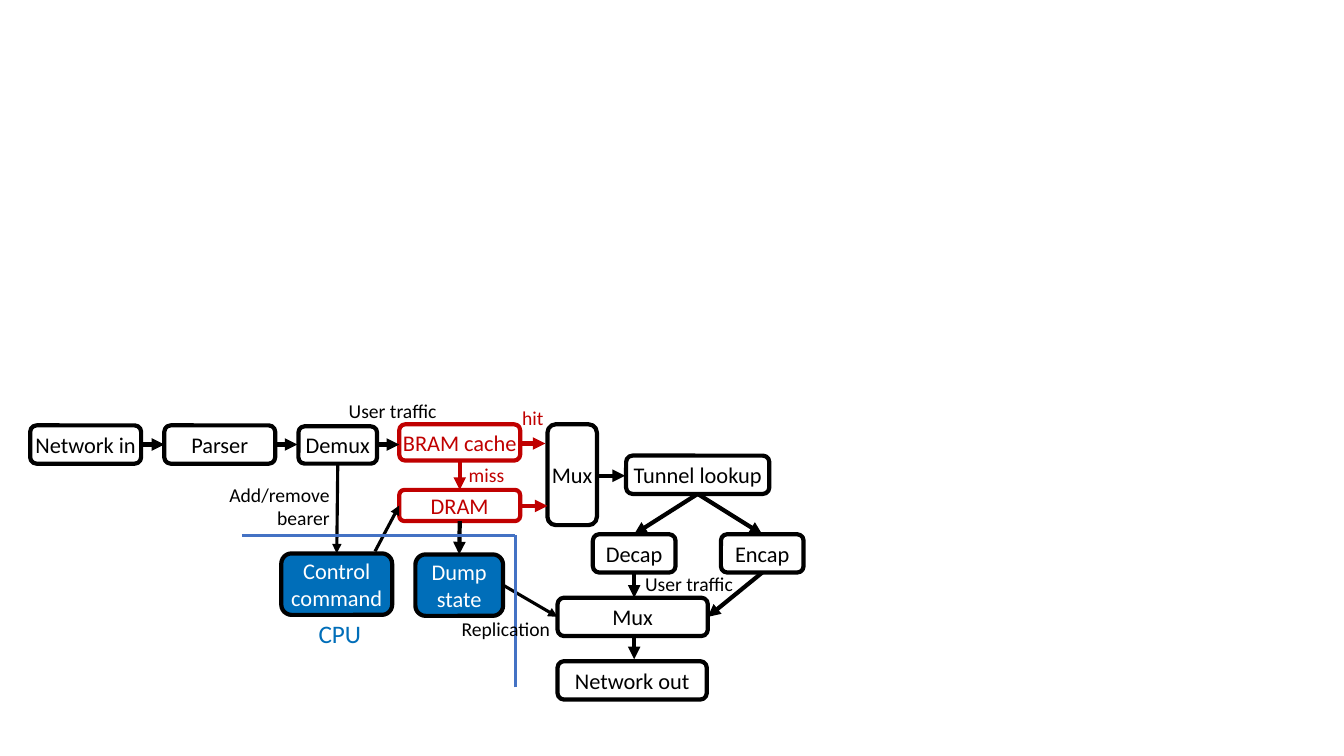
from dataclasses import dataclass
from typing import NamedTuple

from lxml import etree
from pptx import Presentation
from pptx.dml.color import RGBColor
from pptx.enum.shapes import MSO_CONNECTOR, MSO_SHAPE
from pptx.enum.text import MSO_ANCHOR, MSO_AUTO_SIZE, PP_ALIGN
from pptx.oxml.ns import qn
from pptx.util import Emu, Pt

PX = 9144
FONT = "Calibri"
BLACK, WHITE, RED = "000000", "FFFFFF", "C00000"
CPU_BLUE, BORDER_BLUE = "006EB9", "4472C4"
ROUND = MSO_SHAPE.ROUNDED_RECTANGLE
PROCESS = MSO_SHAPE.FLOWCHART_ALTERNATE_PROCESS
STRAIGHT = MSO_CONNECTOR.STRAIGHT
LEFT, CENTER, RIGHT = PP_ALIGN.LEFT, PP_ALIGN.CENTER, PP_ALIGN.RIGHT
MIDDLE, TOP_ANCHOR = MSO_ANCHOR.MIDDLE, MSO_ANCHOR.TOP
GROW = MSO_AUTO_SIZE.SHAPE_TO_FIT_TEXT
TOP, WEST, BOTTOM, EAST = range(4)


class Point(NamedTuple):
    x: int
    y: int


class Port(NamedTuple):
    box: str
    side: int


@dataclass
class Box:
    key: str
    text: str
    x: int
    y: int
    w: int
    h: int
    fill: str = WHITE
    line: str = BLACK
    color: str = BLACK
    kind: int = ROUND


@dataclass
class Link:
    start: Point | Port
    end: Point | Port
    color: str = BLACK
    width: float = 3
    arrow: bool = True


@dataclass
class Label:
    text: str
    x: int
    y: int
    w: int
    h: int = 34
    color: str = BLACK
    size: int = 14
    align: int = LEFT
    inset: tuple[int, int] = (10, 5)
    spacing: float | None = None
    after: int | None = None


BOXES = [
    Box("in", "Network in", 30, 422, 110, 38, kind=PROCESS),
    Box("parser", "Parser", 163, 422, 110, 38),
    Box("demux", "Demux", 296, 423, 78, 37),
    Box("bram", "BRAM cache", 396, 421, 120, 36, line=RED, color=RED),
    Box("dram", "DRAM", 396, 486, 120, 31, line=RED, color=RED),
    Box("control", "Control command", 279, 549, 110, 61, fill=CPU_BLUE, color=WHITE),
    Box("dump", "Dump state", 412, 550, 87, 61, fill=CPU_BLUE, color=WHITE),
    Box("cache mux", "Mux", 543, 421, 49, 100),
    Box("tunnel", "Tunnel lookup", 621, 452, 142, 38),
    Box("decap", "Decap", 588, 530, 82, 38),
    Box("encap", "Encap", 715, 530, 82, 38),
    Box("out mux", "Mux", 553, 593, 149, 38),
    Box("out", "Network out", 553, 656, 148, 38),
]

LINKS = [
    Link(Port("in", EAST), Port("parser", WEST)),
    Link(Port("parser", EAST), Point(295, 441)),
    Link(Point(373, 441), Point(396, 441)),
    Link(Port("bram", BOTTOM), Port("dram", TOP), RED),
    Link(Point(516, 440), Point(541, 440), RED),
    Link(Point(516, 502), Point(543, 502), RED),
    Link(Port("dram", BOTTOM), Port("dump", TOP)),
    Link(Point(592, 472), Point(620, 472)),
    Link(Port("tunnel", BOTTOM), Port("decap", TOP)),
    Link(Port("tunnel", BOTTOM), Port("encap", TOP)),
    Link(Port("decap", BOTTOM), Point(629, 593)),
    Link(Port("encap", BOTTOM), Port("out mux", EAST)),
    Link(Point(629, 633), Point(629, 654)),
    Link(Port("demux", BOTTOM), Port("control", TOP), width=2.25),
    Link(Point(372, 547), Port("dram", WEST), width=2.25),
    Link(Port("dump", EAST), Port("out mux", WEST), width=2.25),
    Link(Point(240, 531), Point(511, 531), BORDER_BLUE, 2.25, False),
    Link(Point(511, 682), Point(511, 531), BORDER_BLUE, 2.25, False),
]

LABELS = [
    Label("CPU", 296, 603, 84, 60, CPU_BLUE, 18, inset=(20, 16), spacing=0.9, after=6),
    Label("Replication", 448, 607, 109),
    Label("User traffic", 630, 562, 109),
    Label("User traffic", 336, 391, 109),
    Label("Add/remove\nbearer", 216, 474, 121, 57, align=RIGHT),
    Label("hit", 508, 398, 42, color=RED),
    Label("miss", 455, 454, 56, color=RED),
]


def px(n: int) -> Emu:
    return Emu(n * PX)


def rgb(value: str) -> RGBColor:
    return RGBColor.from_string(value)


def write(tf, text: str, *, size: int, color: str, align: int, inset: tuple[int, int],
          anchor: int = TOP_ANCHOR, wrap: bool = False,
          spacing: float | None = None, after: int | None = None) -> None:
    tf.word_wrap = wrap
    tf.vertical_anchor = anchor
    tf.margin_left = tf.margin_right = px(inset[0])
    tf.margin_top = tf.margin_bottom = px(inset[1])
    p = tf.paragraphs[0]
    p.text = text
    p.alignment = align
    if spacing is not None:
        p.line_spacing = spacing
    if after is not None:
        p.space_after = Pt(after)
    for r in p.runs:
        r.font.name = FONT
        r.font.size = Pt(size)
        r.font.color.rgb = rgb(color)
    for br in p._p.findall(qn("a:br")):
        etree.SubElement(br, qn("a:rPr"), sz=str(size * 100))


def draw_box(s, box: Box):
    sp = s.shapes.add_shape(box.kind, px(box.x), px(box.y), px(box.w), px(box.h))
    sp.shadow.inherit = False
    sp.fill.solid()
    sp.fill.fore_color.rgb = rgb(box.fill)
    sp.line.color.rgb = rgb(box.line)
    sp.line.width = Pt(3)
    write(sp.text_frame, box.text, size=16, color=box.color, align=CENTER,
          inset=(0, 4), anchor=MIDDLE, wrap=True)
    return sp


def locate(end: Point | Port, boxes: dict[str, Box]) -> Point:
    if isinstance(end, Point):
        return end
    b = boxes[end.box]
    mid_x, mid_y = b.x + b.w // 2, b.y + b.h // 2
    return (Point(mid_x, b.y), Point(b.x, mid_y),
            Point(mid_x, b.y + b.h), Point(b.x + b.w, mid_y))[end.side]


def draw_link(s, link: Link, boxes: dict[str, Box], shapes: dict) -> None:
    a, b = locate(link.start, boxes), locate(link.end, boxes)
    cx = s.shapes.add_connector(STRAIGHT, px(a.x), px(a.y), px(b.x), px(b.y))
    if isinstance(link.start, Port):
        cx.begin_connect(shapes[link.start.box], link.start.side)
    if isinstance(link.end, Port):
        cx.end_connect(shapes[link.end.box], link.end.side)
    cx.line.color.rgb = rgb(link.color)
    cx.line.width = Pt(link.width)
    if link.arrow:
        etree.SubElement(cx.line._get_or_add_ln(), qn("a:tailEnd"), type="triangle")
    etree.SubElement(cx._element.spPr, qn("a:effectLst"))


def draw_label(s, label: Label) -> None:
    sp = s.shapes.add_textbox(px(label.x), px(label.y), px(label.w), px(label.h))
    write(sp.text_frame, label.text, size=label.size, color=label.color, align=label.align,
          inset=label.inset, spacing=label.spacing, after=label.after)
    sp.text_frame.auto_size = GROW


def main() -> None:
    prs = Presentation()
    prs.slide_width, prs.slide_height = px(1333), px(750)
    s = prs.slides.add_slide(prs.slide_layouts[6])
    boxes = {box.key: box for box in BOXES}
    shapes = {box.key: draw_box(s, box) for box in BOXES}
    for link in LINKS:
        draw_link(s, link, boxes, shapes)
    for label in LABELS:
        draw_label(s, label)
    prs.save("out.pptx")


if __name__ == "__main__":
    main()
